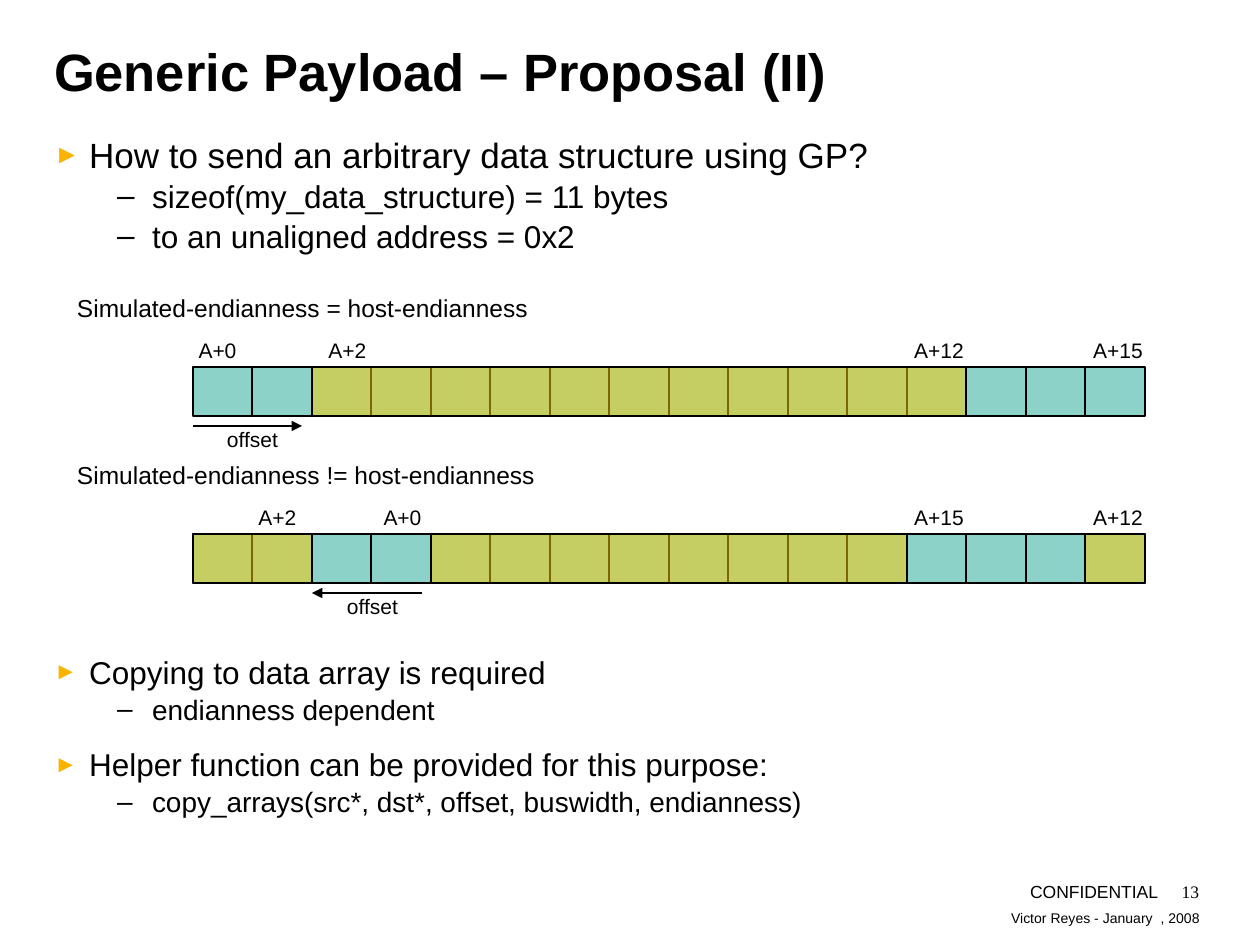
from lxml import etree
from pptx import Presentation
from pptx.dml.color import RGBColor
from pptx.enum.shapes import MSO_CONNECTOR, MSO_SHAPE
from pptx.enum.text import MSO_ANCHOR, PP_ALIGN
from pptx.oxml.ns import qn
from pptx.util import Pt

PX = 914400 / 126
LEFT, CENTER, RIGHT = PP_ALIGN.LEFT, PP_ALIGN.CENTER, PP_ALIGN.RIGHT
TOP, BOTTOM = MSO_ANCHOR.TOP, MSO_ANCHOR.BOTTOM
RECT, STRAIGHT = MSO_SHAPE.RECTANGLE, MSO_CONNECTOR.STRAIGHT
BLACK, TEAL, YELLOW, ORANGE = "000000", "8CD2C8", "FFCC00", "FAB400"

prs = Presentation()
prs.slide_width, prs.slide_height = round(1260 * PX), round(945 * PX)
slide = prs.slides.add_slide(prs.slide_layouts[6])
shapes = slide.shapes


def color(hex_value):
    return RGBColor.from_string(hex_value)


def add_text(box, lines, align=LEFT, anchor=TOP, inset=(0, 0), font="Arial", bold=False):
    """Lines are (text, size, level, space before); level None means no bullet."""
    frame = shapes.add_textbox(*[round(v * PX) for v in box]).text_frame
    frame.word_wrap = True
    frame.vertical_anchor = anchor
    frame.margin_left = frame.margin_right = round(inset[0] * PX)
    frame.margin_top = frame.margin_bottom = round(inset[1] * PX)
    for i, (text, size, level, before) in enumerate(lines):
        p = frame.add_paragraph() if i else frame.paragraphs[0]
        p.text = text
        p.alignment = align
        if level is not None:
            p.level = level
            p.line_spacing = 1.05
            p.space_before = Pt(before)
            props = p._p.get_or_add_pPr()
            props.set("marL", str(round((35, 98)[level] * PX)))
            props.set("indent", str(round(-35 * PX)))
            bullet_color = etree.SubElement(props, qn("a:buClr"))
            etree.SubElement(bullet_color, qn("a:srgbClr"), val=(ORANGE, BLACK)[level])
            etree.SubElement(props, qn("a:buSzPct"), val=("75000", "100000")[level])
            etree.SubElement(props, qn("a:buFont"), typeface="Arial")
            etree.SubElement(props, qn("a:buChar"), char="►–"[level])
        p.font.name, p.font.size, p.font.bold = font, Pt(size), bold
        p.font.color.rgb = color(BLACK)


# Title and opening bullets
add_text((54, 39, 1152, 126), [("Generic Payload – Proposal (II)", 30, None, 0)], bold=True)
add_text((54, 131, 1152, 152), [
    ("How to send an arbitrary data structure using GP?", 20, 0, 0),
    ("sizeof(my_data_structure) = 11 bytes", 18, 1, 0),
    ("to an unaligned address = 0x2", 18, 1, 0),
])

# Memory rows: four words of four bytes, payload bytes tinted
ROW_LEFT, ROW_HEIGHT, WORD, BYTES = 193, 49, 238, 16
edges = [ROW_LEFT + WORD * i // 4 for i in range(BYTES + 1)]
rows = [
    # top, heading, labels (text, left, width), payload byte ranges, arrow from/to, caption left
    (367, "Simulated-endianness = host-endianness",
     [("A+0", 193, 49), ("A+2", 323, 49), ("A+12", 906, 66), ("A+15", 1085, 66)],
     [(2, 13)], (193, 302), 223),
    (534, "Simulated-endianness != host-endianness",
     [("A+2", 253, 49), ("A+0", 378, 49), ("A+15", 906, 66), ("A+12", 1085, 66)],
     [(4, 12), (0, 2), (15, 16)], (422, 312), 343),
]
for top, heading, labels, payload, (arrow_from, arrow_to), caption_left in rows:
    bottom = top + ROW_HEIGHT
    add_text((64, top - 80, 725, 43), [(heading, 14, None, 0)], inset=(13, 6))
    for text, left, width in labels:
        add_text((left, top - 30, width, 28), [(text, 12, None, 0)], CENTER, inset=(2, 1))

    words = [(edges[i], edges[i + 4], TEAL, 1.5) for i in range(0, BYTES, 4)]
    tints = [(edges[a], edges[b], YELLOW, 0.75) for a, b in payload]
    for left, right, fill, weight in words + tints:
        block = shapes.add_shape(RECT, *[round(v * PX) for v in (left, top, right - left, ROW_HEIGHT)])
        block.shadow.inherit = False
        block.fill.solid()
        block.fill.fore_color.rgb = color(fill)
        block.line.color.rgb = color(BLACK)
        block.line.width = Pt(weight)
        if fill == YELLOW:
            tint = block.fill._xPr.find(qn("a:solidFill"))[0]
            etree.SubElement(tint, qn("a:alpha"), val="50000")
            continue
        # Byte dividers inside the word
        for x in edges[edges.index(left) + 1:edges.index(right)]:
            divider = shapes.add_connector(STRAIGHT, *[round(v * PX) for v in (x, top, x, bottom)])
            if x == left + WORD // 2:
                divider.begin_connect(block, 0)
                divider.end_connect(block, 2)
            divider.line.color.rgb = color(BLACK)
            divider.line.width = Pt(0.75)
            etree.SubElement(divider._element.spPr, qn("a:effectLst"))

    # Offset arrow and its caption
    arrow_y = top + 59
    arrow = shapes.add_connector(
        STRAIGHT, *[round(v * PX) for v in (arrow_from, arrow_y, arrow_to, arrow_y)])
    arrow.line.color.rgb = color(BLACK)
    arrow.line.width = Pt(0.75)
    etree.SubElement(arrow.line._get_or_add_ln(), qn("a:tailEnd"), type="triangle")
    etree.SubElement(arrow._element.spPr, qn("a:effectLst"))
    add_text((caption_left, arrow_y, 59, 28), [("offset", 12, None, 0)], CENTER, inset=(2, 1))

# Closing bullets
add_text((54, 651, 1152, 179), [
    ("Copying to data array is required", 18, 0, 0),
    ("endianness dependent", 16, 1, 0),
    ("Helper function can be provided for this purpose:", 18, 0, 10.1),
    ("copy_arrays(src*, dst*, offset, buswidth, endianness)", 16, 1, 0),
])

# Footer
add_text((499, 905, 701, 21), [("Victor Reyes - January  , 2008", 8, None, 0)], RIGHT, BOTTOM)
add_text((905, 881, 253, 21), [("CONFIDENTIAL", 10, None, 0)], RIGHT, BOTTOM)
add_text((1155, 881, 44, 21), [("13", 10, None, 0)], RIGHT, font="Times New Roman")

prs.save("out.pptx")
